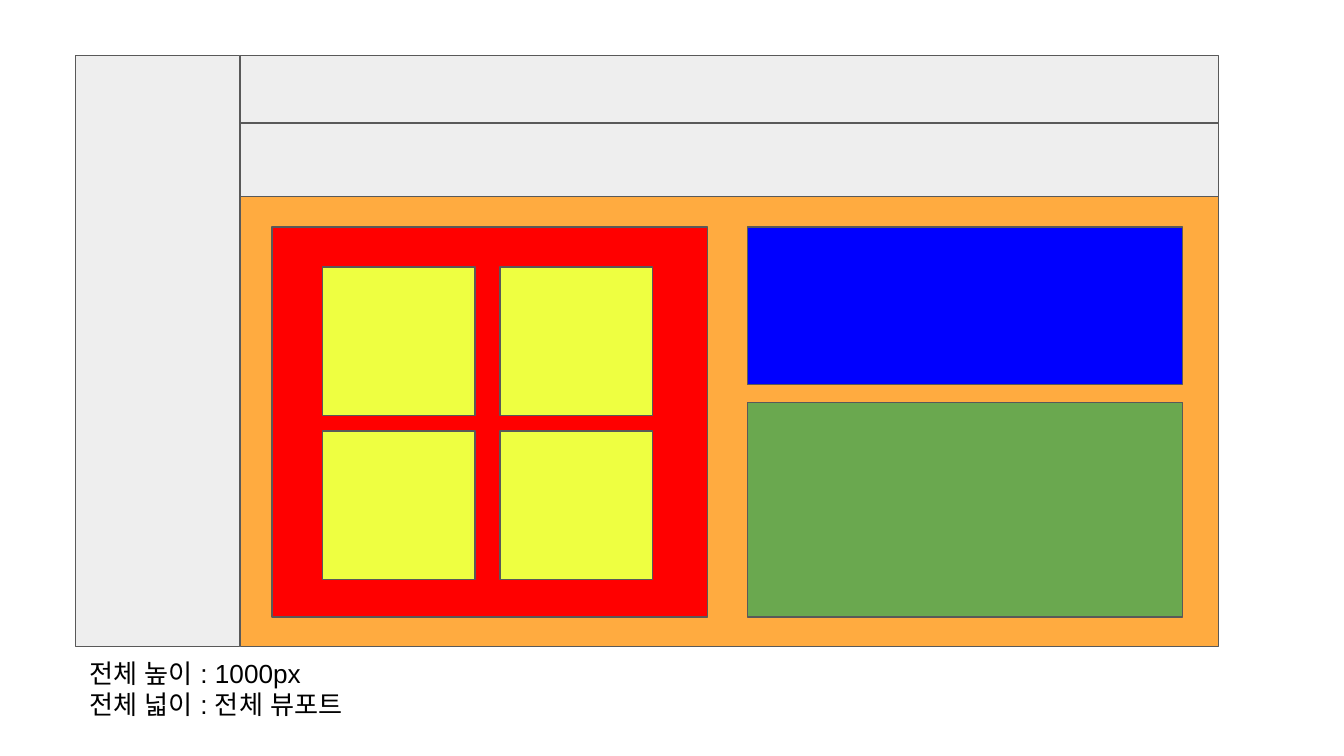
"""Builds a page layout wireframe with a sidebar, two bars and a content area."""
import itertools

import lxml.etree
import pptx
import pptx.dml.color
import pptx.enum.lang
import pptx.enum.shapes
import pptx.enum.text
import pptx.oxml.ns
import pptx.util

RGBColor = pptx.dml.color.RGBColor
GREY = RGBColor(0xEE, 0xEE, 0xEE)
ORANGE = RGBColor(0xFF, 0xAB, 0x40)
RED = RGBColor(0xFF, 0x00, 0x00)
BLUE = RGBColor(0x00, 0x00, 0xFF)
GREEN = RGBColor(0x6A, 0xA8, 0x4F)
YELLOW = RGBColor(0xEE, 0xFF, 0x41)
OUTLINE = RGBColor(0x59, 0x59, 0x59)
BLACK = RGBColor(0x00, 0x00, 0x00)

FONT = "Arial"
SLIDE_WIDTH = pptx.util.Inches(10)
SLIDE_HEIGHT = SLIDE_WIDTH * 9 // 16

MAIN_LEFT, MAIN_WIDTH = 17.9, 72.75
SIDE_LEFT, PAGE_TOP = 5.6, 7.35
PANEL_TOP, PANEL_WIDTH = 30.05, 32.4
LEFT_PANEL, RIGHT_PANEL = 20.23, 55.6
TILE_LEFT, TILE_TOP = 24, 35.3
TILE_WIDTH, TILE_HEIGHT = 11.35, 19.7
TILE_COLUMN, TILE_ROW = 13.2, 21.7

BLOCKS = [
    (MAIN_LEFT, PAGE_TOP, MAIN_WIDTH, 8.9, GREY),
    (MAIN_LEFT, 16.25, MAIN_WIDTH, 10.1, GREY),
    (MAIN_LEFT, 26, MAIN_WIDTH, 59.5, ORANGE),
    (SIDE_LEFT, PAGE_TOP, 12.25, 78.2, GREY),
    (LEFT_PANEL, PANEL_TOP, PANEL_WIDTH, 51.6, RED),
    (RIGHT_PANEL, PANEL_TOP, PANEL_WIDTH, 20.8, BLUE),
    (RIGHT_PANEL, 53.25, PANEL_WIDTH, 28.4, GREEN),
]
CAPTION = ["전체 높이 : 1000px", "전체 넓이 : 전체 뷰포트"]


def box(left, top, width, height):
    """Turn percentages of the slide into lengths."""
    return (
        int(SLIDE_WIDTH * left / 100),
        int(SLIDE_HEIGHT * top / 100),
        int(SLIDE_WIDTH * width / 100),
        int(SLIDE_HEIGHT * height / 100),
    )


def add_block(slide, left, top, width, height, color):
    """Add an outlined rectangle."""
    shape = slide.shapes.add_shape(
        pptx.enum.shapes.MSO_SHAPE.RECTANGLE, *box(left, top, width, height)
    )
    shape.shadow.inherit = False
    shape.fill.solid()
    shape.fill.fore_color.rgb = color
    shape.line.color.rgb = OUTLINE
    shape.line.width = pptx.util.Pt(0.75)


def add_tiles(slide):
    """Add the two by two grid of tiles."""
    for row, column in itertools.product(range(2), repeat=2):
        left = TILE_LEFT + column * TILE_COLUMN
        top = TILE_TOP + row * TILE_ROW
        add_block(slide, left, top, TILE_WIDTH, TILE_HEIGHT, YELLOW)


def style_paragraph(paragraph):
    """Set one font for Latin and Korean letters."""
    font = paragraph.font
    font.size = pptx.util.Pt(14)
    font.color.rgb = BLACK
    font.name = FONT
    font.language_id = pptx.enum.lang.MSO_LANGUAGE_ID.KOREAN
    properties = paragraph._p.pPr.find(pptx.oxml.ns.qn("a:defRPr"))
    for script in ("a:ea", "a:cs"):
        lxml.etree.SubElement(properties, pptx.oxml.ns.qn(script), typeface=FONT)


def add_caption(slide, lines):
    """Add the size note under the wireframe."""
    frame = slide.shapes.add_textbox(*box(5.65, 85.2, 23.4, 11.9)).text_frame
    frame.word_wrap = True
    frame.auto_size = pptx.enum.text.MSO_AUTO_SIZE.SHAPE_TO_FIT_TEXT
    frame.margin_left = frame.margin_right = pptx.util.Inches(0.1)
    frame.margin_top = frame.margin_bottom = pptx.util.Inches(0.1)
    frame.text = "\n".join(lines)
    for paragraph in frame.paragraphs:
        style_paragraph(paragraph)


def main():
    """Build and save the presentation."""
    presentation = pptx.Presentation()
    presentation.slide_width = SLIDE_WIDTH
    presentation.slide_height = SLIDE_HEIGHT
    slide = presentation.slides.add_slide(presentation.slide_layouts[6])
    for block in BLOCKS:
        add_block(slide, *block)
    add_tiles(slide)
    add_caption(slide, CAPTION)
    presentation.save("out.pptx")


if __name__ == "__main__":
    main()
